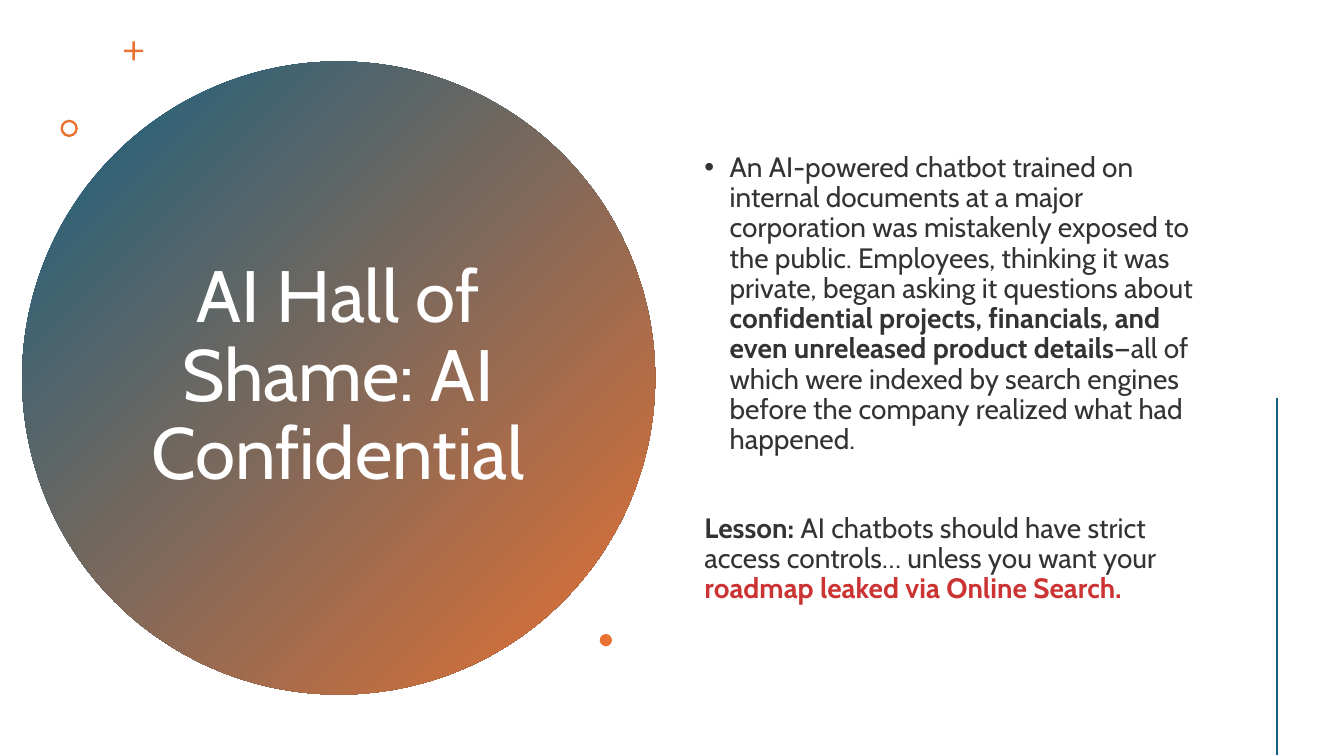
from lxml.etree import SubElement
from pptx import Presentation
from pptx.dml.color import RGBColor
from pptx.enum.shapes import MSO_CONNECTOR, MSO_SHAPE
from pptx.enum.text import MSO_ANCHOR, MSO_AUTO_SIZE, PP_ALIGN
from pptx.oxml.ns import qn
from pptx.util import Pt

BLUE = RGBColor(0x15, 0x60, 0x82)
ORANGE = RGBColor(0xE9, 0x71, 0x32)
WHITE = RGBColor(0xFF, 0xFF, 0xFF)
BLACK = RGBColor(0x00, 0x00, 0x00)
RED = RGBColor(0xC0, 0x00, 0x00)
FONT = "Cabin"

deck = Presentation()
deck.slide_width, deck.slide_height = Pt(960), Pt(540)
page = deck.slides.add_slide(deck.slide_layouts[5])


def add_plain_shape(kind, left, top, size):
    shape = page.shapes.add_shape(kind, Pt(left), Pt(top), Pt(size), Pt(size))
    shape.shadow.inherit = False
    shape.line.fill.background()
    return shape


# Gradient circle, placed behind the title
circle = add_plain_shape(MSO_SHAPE.OVAL, 15.8, 43.9, 452.2)
circle.fill.gradient()
circle.fill.gradient_angle = 315
for stop, color in zip(circle.fill.gradient_stops, (BLUE, ORANGE)):
    stop.color.rgb = color
title = page.shapes.title
title.element.addprevious(circle.element)

# Title
title.left, title.top, title.width, title.height = Pt(97.9), Pt(101.5), Pt(287.3), Pt(336.2)
frame = title.text_frame
frame.text = "AI Hall of Shame: AI Confidential"
frame.word_wrap = True
frame.auto_size = MSO_AUTO_SIZE.NONE
frame.vertical_anchor = MSO_ANCHOR.MIDDLE
heading = frame.paragraphs[0]
heading.alignment = PP_ALIGN.CENTER
heading.line_spacing = 0.9
heading.runs[0].font.name = FONT
heading.runs[0].font.size = Pt(52)
heading.runs[0].font.color.rgb = WHITE

# Small orange ornaments: plus, ring and dot
ornaments = [
    (MSO_SHAPE.CROSS, 88.6, 29.5, 13.7, 0.43),
    (MSO_SHAPE.DONUT, 43.2, 85.5, 12.4, 0.14),
    (MSO_SHAPE.OVAL, 428.4, 452.9, 8.8, None),
]
for kind, left, top, size, adjustment in ornaments:
    ornament = add_plain_shape(kind, left, top, size)
    ornament.fill.solid()
    ornament.fill.fore_color.rgb = ORANGE
    if adjustment is not None:
        ornament.adjustments[0] = adjustment

# Story and lesson: (text, bold, colour) for each span
story = [
    ("An AI-powered chatbot trained on internal documents at a major corporation was "
     "mistakenly exposed to the public. Employees, thinking it was private, began "
     "asking it questions about ", False, BLACK),
    ("confidential projects, financials, and even unreleased product details", True, BLACK),
    ("—all of which were indexed by search engines before the company realized what "
     "had happened.", False, BLACK),
]
lesson = [
    ("Lesson:", True, BLACK),
    (" AI chatbots should have strict access controls… unless you want your ", False, BLACK),
    ("roadmap leaked via Online Search.", True, RED),
]
box = page.shapes.add_textbox(Pt(496.1), Pt(41), Pt(375.8), Pt(459.4))
frame = box.text_frame
frame.word_wrap = True
frame.vertical_anchor = MSO_ANCHOR.MIDDLE
story_paragraph = frame.paragraphs[0]
lesson_paragraph = frame.add_paragraph()
lesson_paragraph.space_before = Pt(41.6)

# Bullet with a hanging indent on the story
properties = story_paragraph._p.get_or_add_pPr()
properties.set("marL", str(Pt(18)))
properties.set("indent", str(-Pt(18)))
SubElement(properties, qn("a:buFont"), typeface="Arial")
SubElement(properties, qn("a:buChar"), char="•")

for paragraph, spans in ((story_paragraph, story), (lesson_paragraph, lesson)):
    paragraph.line_spacing = 0.9
    for text, bold, color in spans:
        span = paragraph.add_run()
        span.text = text
        span.font.name = FONT
        span.font.size = Pt(20)
        span.font.bold = bold
        span.font.color.rgb = color
        # Text is 80 % opaque
        SubElement(span._r.rPr.find(".//" + qn("a:srgbClr")), qn("a:alpha"), val="80000")

# Vertical line at the right edge
rule = page.shapes.add_connector(MSO_CONNECTOR.STRAIGHT, Pt(912.2), Pt(284.4), Pt(912.2), Pt(539.5))
rule.line.color.rgb = BLUE
rule.line.width = Pt(2)
SubElement(rule._element.spPr, qn("a:effectLst"))

deck.save("out.pptx")
